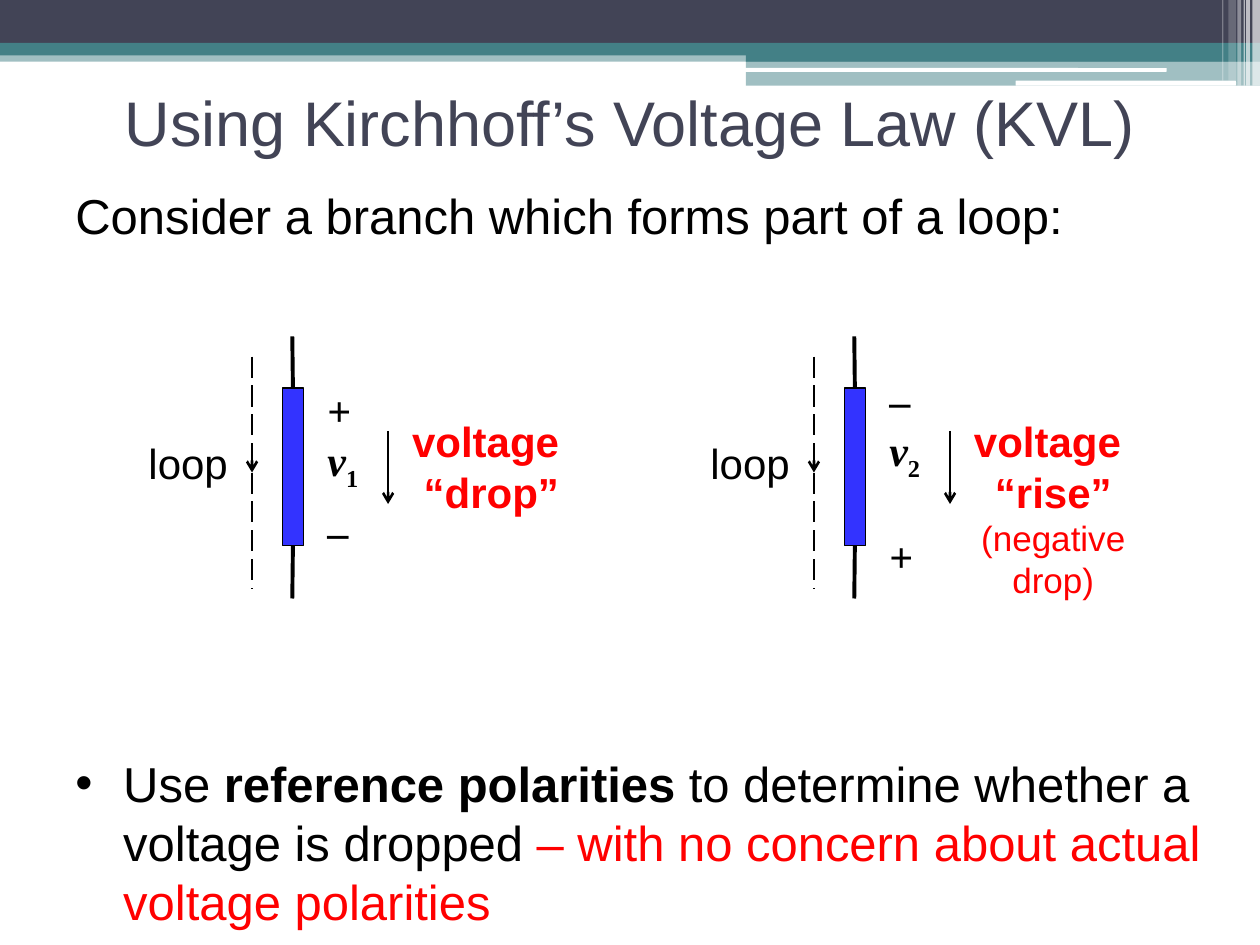
from dataclasses import dataclass

from lxml.etree import SubElement
from pptx import Presentation
from pptx.dml.color import RGBColor
from pptx.enum.dml import MSO_LINE
from pptx.enum.shapes import MSO_CONNECTOR, MSO_SHAPE
from pptx.enum.text import MSO_ANCHOR, PP_ALIGN
from pptx.oxml.ns import qn
from pptx.util import Inches, Pt


@dataclass(frozen=True)
class Theme:
    dark: str = "424456"
    teal: str = "438086"
    white: str = "FFFFFF"
    black: str = "000000"
    red: str = "FF0000"
    blue: str = "3333FF"
    sans: str = "Arial"
    serif: str = "Times New Roman"
    title: int = 36
    body: int = 28
    label: int = 24
    note: int = 20


T = Theme()
COLUMN_STEP = 4.46

# left, top, width, height, colour, opacity in percent
BANDS = [
    (0, 0.4, 10, 0.09, T.teal, 50),
    (0, 0, 10, 0.34, T.dark, 100),
    (0, 0.34, 10, 0.1, T.teal, 100),
    (5.92, 0.39, 4.08, 0.1, T.teal, 100),
    (5.92, 0.48, 4.08, 0.2, T.teal, 50),
]
HIGHLIGHTS = [(5.91, 0.54, 3.35, 0.03), (8.06, 0.64, 1.75, 0.04)]
# left, width, height, opacity in percent
STRIPES = [
    (9.94, 0.06, 0.68, 65), (9.89, 0.03, 0.68, 65), (9.87, 0.01, 0.68, 60),
    (9.82, 0.03, 0.68, 40), (9.75, 0.06, 0.64, 20), (9.7, 0.01, 0.64, 30),
]


def add_box(s, left, top, width, height, color, opacity=100, kind=MSO_SHAPE.RECTANGLE):
    sp = s.shapes.add_shape(kind, Inches(left), Inches(top), Inches(width), Inches(height))
    sp.shadow.inherit = False
    sp.fill.solid()
    sp.fill.fore_color.rgb = RGBColor.from_string(color)
    sp.line.fill.background()
    if opacity < 100:
        clr = sp.fill._xPr.find(".//" + qn("a:srgbClr"))
        SubElement(clr, qn("a:alpha"), val=str(opacity * 1000))
    return sp


def add_line(s, x, top, bottom, width=1.5, dashed=False, arrow=False):
    """Draw a vertical line, with any arrowhead at the bottom."""
    line = s.shapes.add_connector(
        MSO_CONNECTOR.STRAIGHT, Inches(x), Inches(top), Inches(x), Inches(bottom))
    line.line.color.rgb = RGBColor.from_string(T.black)
    line.line.width = Pt(width)
    if dashed:
        line.line.dash_style = MSO_LINE.LONG_DASH
    if arrow:
        SubElement(line.line._get_or_add_ln(), qn("a:tailEnd"), type="arrow")
    SubElement(line._element.spPr, qn("a:effectLst"))
    return line


def add_run(p, text, size, color=T.black, font=T.sans, bold=False, italic=False, baseline=0):
    r = p.add_run()
    r.text = text
    r.font.size = Pt(size)
    r.font.name = font
    r.font.bold = bold
    r.font.italic = italic
    r.font.color.rgb = RGBColor.from_string(color)
    if baseline:
        r.font._element.set("baseline", str(baseline * 1000))


def add_text(s, left, top, width, height, wrap=True, anchor=MSO_ANCHOR.TOP):
    sp = s.shapes.add_textbox(Inches(left), Inches(top), Inches(width), Inches(height))
    tf = sp.text_frame
    tf.word_wrap = wrap
    tf.vertical_anchor = anchor
    return tf


def add_paragraph(tf, first, align=PP_ALIGN.LEFT):
    p = tf.paragraphs[0] if first else tf.add_paragraph()
    p.alignment = align
    return p


def add_bullet(p, indent):
    pPr = p._p.get_or_add_pPr()
    pPr.set("marL", str(Inches(indent)))
    pPr.set("indent", str(-Inches(indent)))
    SubElement(pPr, qn("a:buFont"), typeface=T.sans)
    SubElement(pPr, qn("a:buChar"), char="•")


def add_header(s):
    for left, top, width, height, color, opacity in BANDS:
        add_box(s, left, top, width, height, color, opacity)
    for place in HIGHLIGHTS:
        add_box(s, *place, T.white, kind=MSO_SHAPE.ROUNDED_RECTANGLE)
    for left, width, height, opacity in STRIPES:
        add_box(s, left, 0, width, height, T.white, opacity)


def add_title(s, text):
    title = s.shapes.title
    title.left, title.top = Inches(0.5), Inches(0.67)
    title.width, title.height = Inches(9), Inches(0.58)
    tf = title.text_frame
    tf.word_wrap = True
    tf.vertical_anchor = MSO_ANCHOR.MIDDLE
    add_run(add_paragraph(tf, True, PP_ALIGN.CENTER), text, T.title, T.dark)


def add_element(s, dx):
    """Draw the circuit element with its two leads."""
    body = add_box(s, 2.24 + dx, 3.08, 0.17, 1.25, T.blue)
    body.line.color.rgb = RGBColor.from_string(T.black)
    body.line.width = Pt(0.75)
    add_line(s, 2.32 + dx, 2.67, 3.08, 2.25).end_connect(body, 0)
    add_line(s, 2.32 + dx, 4.33, 4.75, 2.25).begin_connect(body, 2)


def add_polarity(s, dx, top, upper, subscript, lower, gap):
    tf = add_text(s, 2.5 + dx, top, 0.46, 1.3, wrap=False)
    rows = [
        [(upper, {})],
        [("v", {"italic": True}), (subscript, {"baseline": -25})],
        [(lower, {})],
    ]
    for i, row in enumerate(rows):
        p = add_paragraph(tf, i == 0)
        for text, style in row:
            add_run(p, text, T.label, font=T.serif, bold=True, **style)
    p.space_before = Pt(gap)


def add_branch(s, dx, polarity, name, note=None):
    add_element(s, dx)
    add_polarity(s, dx, *polarity)
    add_line(s, 2 + dx, 2.83, 3.75, dashed=True, arrow=True)
    add_line(s, 2 + dx, 3.75, 4.67, dashed=True)
    add_line(s, 3.08 + dx, 3.42, 4, arrow=True)
    tf = add_text(s, 1.08 + dx, 3.42, 0.83, 0.5, wrap=False)
    add_run(add_paragraph(tf, True), "loop", T.label)
    tf = add_text(s, 2.95 + dx, 3.25, 1.9, 0.9)
    for i, text in enumerate(["voltage ", name]):
        add_run(add_paragraph(tf, i == 0, PP_ALIGN.CENTER), text, T.label, T.red, bold=True)
    if note:
        add_run(add_paragraph(tf, False, PP_ALIGN.CENTER), note, T.note, T.red)


def main():
    prs = Presentation()
    prs.slide_width, prs.slide_height = Inches(10), Inches(7.5)
    s = prs.slides.add_slide(prs.slide_layouts[5])
    add_header(s)
    add_title(s, "Using Kirchhoff’s Voltage Law (KVL)")

    tf = add_text(s, 0.5, 1.42, 8.75, 0.57, anchor=MSO_ANCHOR.MIDDLE)
    add_run(add_paragraph(tf, True), "Consider a branch which forms part of a loop:", T.body)

    add_branch(s, 0, (3, "+", "1", "_", 0), "“drop”")
    add_branch(s, COLUMN_STEP, (2.92, "–", "2", "+", 28), "“rise”", "(negative drop)")

    tf = add_text(s, 0.5, 5.93, 9.17, 1.5, anchor=MSO_ANCHOR.MIDDLE)
    p = add_paragraph(tf, True)
    add_bullet(p, 0.38)
    add_run(p, "Use ", T.body)
    add_run(p, "reference polarities", T.body, bold=True)
    add_run(p, " to determine whether a voltage is dropped ", T.body)
    add_run(p, "– with no concern about actual voltage polarities", T.body, T.red)
    prs.save("out.pptx")


if __name__ == "__main__":
    main()
